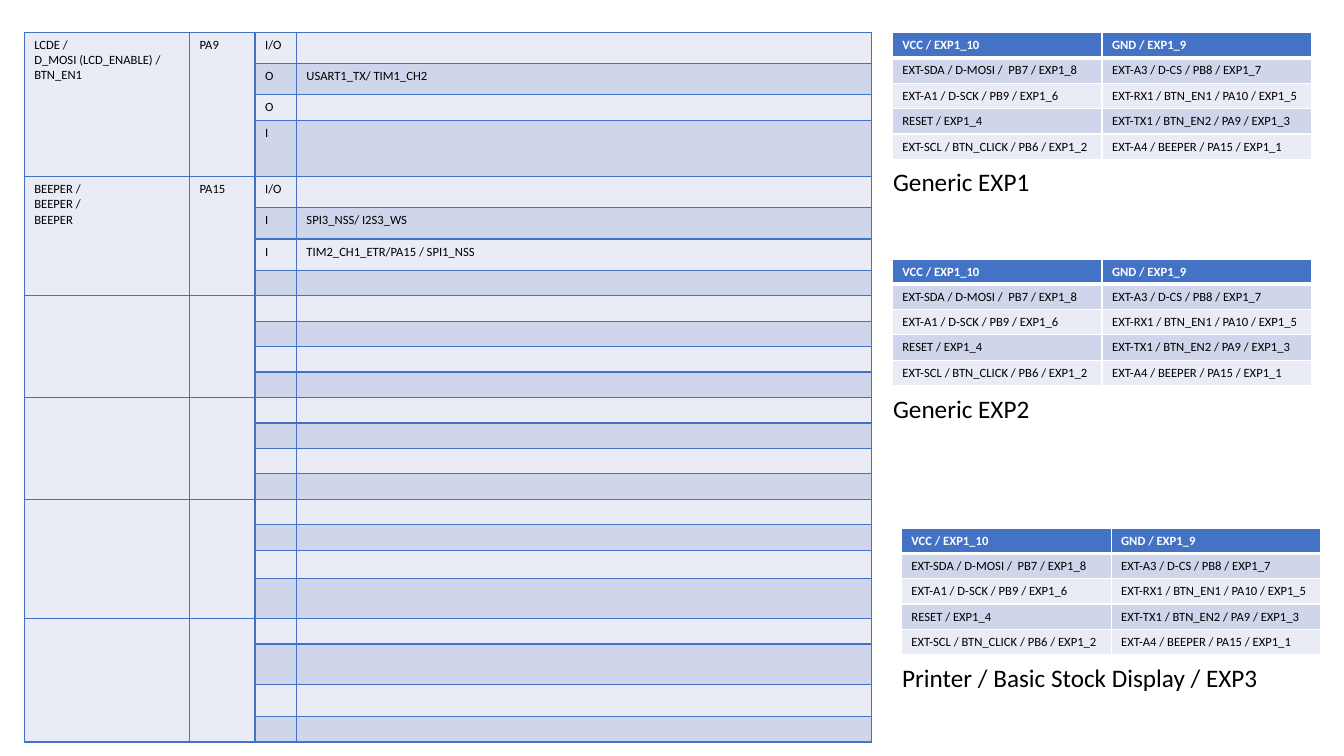
from lxml.etree import SubElement
from pptx import Presentation
from pptx.dml.color import RGBColor
from pptx.enum.text import MSO_AUTO_SIZE as AutoSize
from pptx.oxml.ns import qn
from pptx.util import Inches, Pt

FONT = "Calibri"
BLUE, WHITE, BLACK = "4472C4", "FFFFFF", "000000"
BANDS = ["E9EBF5", "CFD5EA"]

# Pin table: four rows for each signal
GROUP_SIZE = 4
PIN_COLUMNS = [1.64, 0.65, 0.41, 5.7]
PIN_ROWS = [0.31, 0.31, 0.25, 0.56, 0.31, 0.31, 0.31, 0.25,
            *[0.25] * 8,
            0.25, 0.25, 0.28, 0.4, 0.25, 0.4, 0.32, 0.25]
SIGNALS = [("LCDE /\nD_MOSI (LCD_ENABLE) /\nBTN_EN1", "PA9"),
           ("BEEPER /\nBEEPER /\nBEEPER", "PA15")]
FUNCTIONS = [("I/O", ""), ("O", "USART1_TX/ TIM1_CH2"), ("O", ""), ("I", ""),
             ("I/O", ""), ("I", "SPI3_NSS/ I2S3_WS"),
             ("I", "TIM2_CH1_ETR/PA15 / SPI1_NSS")]

# Connector tables: the same pinout at three places
PINOUT = [
    ("VCC / EXP1_10", "GND / EXP1_9"),
    ("EXT-SDA / D-MOSI /  PB7 / EXP1_8", "EXT-A3 / D-CS / PB8 / EXP1_7"),
    ("EXT-A1 / D-SCK / PB9 / EXP1_6", "EXT-RX1 / BTN_EN1 / PA10 / EXP1_5"),
    ("RESET / EXP1_4", "EXT-TX1 / BTN_EN2 / PA9 / EXP1_3"),
    ("EXT-SCL / BTN_CLICK / PB6 / EXP1_2", "EXT-A4 / BEEPER / PA15 / EXP1_1"),
]
CONNECTORS = [("Generic EXP1", 8.85, 0.32, 1.57),
              ("Generic EXP2", 8.85, 2.57, 1.57),
              ("Printer / Basic Stock Display / EXP3", 8.94, 5.24, 3.94)]


def color(value):
    return RGBColor.from_string(value)


def format_font(font, size, font_color, bold=False):
    font.name, font.size, font.bold = FONT, Pt(size), bold
    font.color.rgb = color(font_color)


def add_border(cell, side, line_color, width):
    properties = cell._tc.get_or_add_tcPr()
    line = SubElement(properties, qn(f"a:ln{side}"), w=str(Pt(width)))
    fill = SubElement(line, qn("a:solidFill"))
    SubElement(fill, qn("a:srgbClr"), val=line_color)


def format_cell(cell, text, fill, line_color, text_color=BLACK, bold=False,
                top=1, bottom=1):
    for side, width in zip("LRTB", (1, 1, top, bottom)):
        add_border(cell, side, line_color, width)
    cell.fill.solid()
    cell.fill.fore_color.rgb = color(fill)
    cell.text_frame.text = text
    for paragraph in cell.text_frame.paragraphs:
        for run in paragraph.runs:
            format_font(run.font, 9, text_color, bold)
        # Keeps empty cells at the small text height
        SubElement(paragraph._p, qn("a:endParaRPr"), sz="900")


def add_grid(slide, left, top, columns, rows):
    frame = slide.shapes.add_table(
        len(rows), len(columns), Inches(left), Inches(top),
        Inches(sum(columns)), Inches(sum(rows)))
    table = frame.table
    table.first_row = table.horz_banding = False
    for column, width in zip(table.columns, columns):
        column.width = Inches(width)
    for row, height in zip(table.rows, rows):
        row.height = Inches(height)
    return table


def add_pin_table(slide):
    table = add_grid(slide, 0.24, 0.32, PIN_COLUMNS, PIN_ROWS)
    for row in range(len(PIN_ROWS)):
        group, offset = divmod(row, GROUP_SIZE)
        signal = ("", "")
        if offset == 0 and group < len(SIGNALS):
            signal = SIGNALS[group]
        function = FUNCTIONS[row] if row < len(FUNCTIONS) else ("", "")
        for column, text in enumerate(signal + function):
            fill = BANDS[0] if column < 2 else BANDS[row % 2]
            format_cell(table.cell(row, column), text, fill, BLUE)
    for start in range(0, len(PIN_ROWS), GROUP_SIZE):
        for column in range(2):
            last = table.cell(start + GROUP_SIZE - 1, column)
            table.cell(start, column).merge(last)


def add_pinout_table(slide, left, top):
    table = add_grid(slide, left, top, [2.08] * 2, [0.25] * len(PINOUT))
    for row, labels in enumerate(PINOUT):
        for column, label in enumerate(labels):
            cell = table.cell(row, column)
            if row == 0:
                format_cell(cell, label, BLUE, WHITE, WHITE, True, bottom=3)
            else:
                format_cell(cell, label, BANDS[row % 2], WHITE,
                            top=3 if row == 1 else 1)


def add_caption(slide, text, left, top, width):
    box = slide.shapes.add_textbox(
        Inches(left), Inches(top), Inches(width), Inches(0.4))
    text_frame = box.text_frame
    text_frame.word_wrap = False
    text_frame.auto_size = AutoSize.SHAPE_TO_FIT_TEXT
    text_frame.text = text
    format_font(text_frame.paragraphs[0].runs[0].font, 18, BLACK)


def main():
    presentation = Presentation()
    presentation.slide_width = Inches(13.33)
    presentation.slide_height = Inches(7.5)
    slide = presentation.slides.add_slide(presentation.slide_layouts[6])

    add_pin_table(slide)
    for caption, left, top, width in CONNECTORS:
        add_pinout_table(slide, left, top)
        add_caption(slide, caption, left - 0.09, top + 1.28, width)

    presentation.save("out.pptx")


if __name__ == "__main__":
    main()
